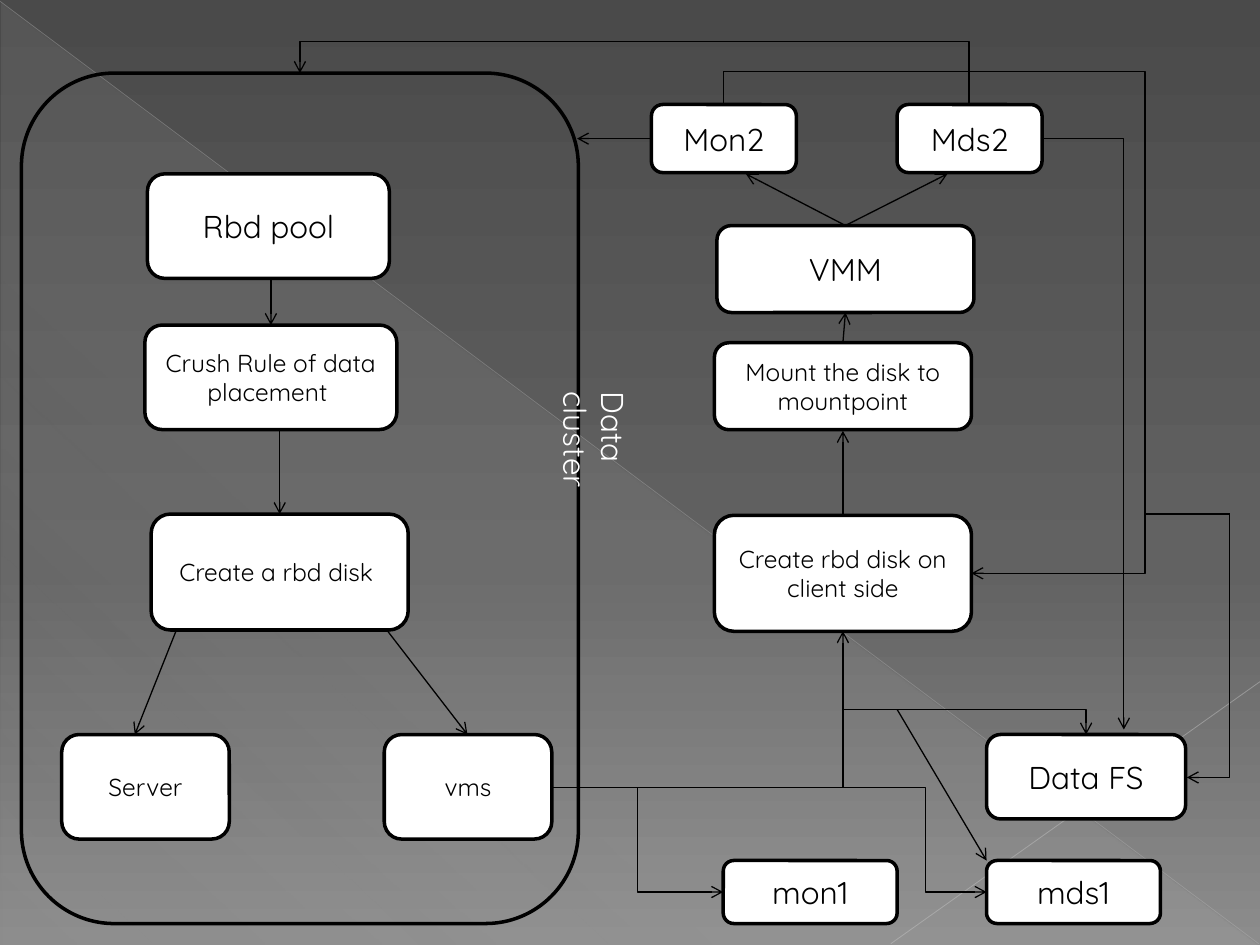
from lxml import etree
from pptx import Presentation
from pptx.dml import color
from pptx.enum import shapes, text
from pptx.oxml import ns
from pptx.util import Inches, Pt

FONT = "Quicksand"
BLACK = "000000"
WHITE = "FFFFFF"


def rgb(value):
    return color.RGBColor.from_string(value)


def inches(*values):
    return [Inches(value) for value in values]


def shift(box, point):
    return box[0] + point[0], box[1] + point[1]


def add_child(parent, tag, **attributes):
    return etree.SubElement(parent, ns.qn(tag), attributes)


def set_gradient(owner, fill, stops, angle):
    fill.gradient()
    gradient = owner.element.find(".//" + ns.qn("a:gradFill"))
    for child in list(gradient):
        gradient.remove(child)
    stop_list = add_child(gradient, "a:gsLst")
    for position, value, opacity in stops:
        stop = add_child(stop_list, "a:gs", pos=str(position * 1000))
        tint = add_child(stop, "a:srgbClr", val=value)
        if opacity < 100:
            add_child(tint, "a:alpha", val=str(opacity * 1000))
    add_child(gradient, "a:lin", ang=str(angle * 60000), scaled="0")


def write(shape, wording, size, value):
    frame = shape.text_frame
    frame.word_wrap = True
    frame.text = wording
    span = frame.paragraphs[0].runs[0]
    span.font.name = FONT
    span.font.size = Pt(size)
    span.font.color.rgb = rgb(value)
    return frame


def add_frame(page, box):
    shape = page.shapes.add_shape(shapes.MSO_SHAPE.ROUNDED_RECTANGLE, *inches(*box))
    shape.shadow.inherit = False
    shape.fill.background()
    shape.line.color.rgb = rgb(BLACK)
    shape.line.width = Pt(2)
    return shape


def add_node(page, box, point, size, wording, points=18):
    shape = add_frame(page, (*shift(box, point), *size))
    shape.fill.solid()
    shape.fill.fore_color.rgb = rgb(WHITE)
    frame = write(shape, wording, points, BLACK)
    frame.vertical_anchor = text.MSO_ANCHOR.MIDDLE
    frame.paragraphs[0].alignment = text.PP_ALIGN.CENTER


def add_line(page, start, end, kind=shapes.MSO_CONNECTOR.STRAIGHT,
             value=BLACK, width=0.75, arrow=True, opacity=100):
    line = page.shapes.add_connector(kind, *inches(*start, *end))
    line.line.color.rgb = rgb(value)
    line.line.width = Pt(width)
    outline = line.line._get_or_add_ln()
    if opacity < 100:
        tint = outline.find(".//" + ns.qn("a:srgbClr"))
        add_child(tint, "a:alpha", val=str(opacity * 1000))
    if arrow:
        add_child(outline, "a:tailEnd", type="arrow")
    add_child(line.element.spPr, "a:effectLst")
    return line


def add_elbow(page, start, end, bends=2, turn=0, adjust=()):
    center = [(a + b) / 2 for a, b in zip(start, end)]
    x, y = start[0] - center[0], start[1] - center[1]
    x, y = {0: (x, y), 90: (y, -x), 270: (-y, x)}[turn]
    line = add_line(page, (center[0] + x, center[1] + y),
                    (center[0] - x, center[1] - y), shapes.MSO_CONNECTOR.ELBOW)
    properties = line.element.spPr
    if turn:
        properties.find(ns.qn("a:xfrm")).set("rot", str(turn * 60000))
    geometry = properties.find(ns.qn("a:prstGeom"))
    geometry.set("prst", f"bentConnector{bends}")
    guides = geometry.find(ns.qn("a:avLst"))
    if guides is None:
        guides = add_child(geometry, "a:avLst")
    for number, part in enumerate(adjust, 1):
        add_child(guides, "a:gd", name=f"adj{number}", fmla=f"val {round(part * 100000)}")


def add_backdrop(page, box):
    left, top, width, height = box
    set_gradient(page, page.background.fill,
                 [(0, "4A4A4A", 100), (60, "626262", 100), (100, "8C8C8C", 100)], 90)
    corner = page.shapes.add_shape(
        shapes.MSO_SHAPE.RIGHT_TRIANGLE,
        *inches(left + 0.01, top + 0.02, width - 0.02, height - 0.02))
    corner.shadow.inherit = False
    corner.line.fill.background()
    set_gradient(corner, corner.fill,
                 [(0, "D2D2D2", 10), (70, "D2D2D2", 8), (100, "D2D2D2", 1)], 133)
    right, bottom = left + width, top + height - 0.01
    add_line(page, (left, top + 0.01), (right - 0.01, bottom),
             value="BFBFBF", width=0.39, arrow=False, opacity=35)
    add_line(page, (right, top + 5.41), (left + 7.07, bottom),
             value="C6C6C6", width=0.47, arrow=False, opacity=45)


def add_cluster(page, box):
    add_node(page, box, (1, 0.8), (1.92, 0.83), "Rbd pool")
    add_node(page, box, (0.98, 2), (2, 0.83), "Crush Rule of data placement ", 14)
    add_node(page, box, (1.03, 3.5), (2.04, 0.92), "Create a rbd disk ", 14)
    for x, wording in ((0.32, "Server"), (2.88, "vms")):
        add_node(page, box, (x, 5.25), (1.33, 0.83), wording, 14)
    for start, end in (((1.98, 1.63), (1.98, 2)), ((2.05, 2.84), (2.05, 3.5)),
                       ((1.23, 4.42), (0.9, 5.25)), ((2.9, 4.42), (3.54, 5.25))):
        add_line(page, shift(box, start), shift(box, end))
    add_frame(page, box)
    label = page.shapes.add_textbox(*inches(*shift(box, (3.96, 2.97)), 1.48, 0.4))
    label.rotation = 90
    write(label, "Data cluster", 18, WHITE)


def add_client(page, box):
    for x, wording in ((0, "Mon2"), (1.95, "Mds2")):
        add_node(page, box, (x, 0), (1.15, 0.54), wording)
    add_node(page, box, (0.52, 0.96), (2.04, 0.69), "VMM")
    add_node(page, box, (0.5, 1.89), (2.04, 0.69), "Mount the disk to mountpoint", 14)
    add_node(page, box, (0.5, 3.26), (2.04, 0.92), "Create rbd disk on client side", 14)
    for start, end in (((1.52, 3.26), (1.52, 2.59)), ((1.52, 1.89), (1.54, 1.65)),
                       ((1.54, 0.96), (2.35, 0.55)), ((1.54, 0.96), (0.75, 0.55))):
        add_line(page, shift(box, start), shift(box, end))


def add_services(page, box):
    add_node(page, box, (2.09, 0), (1.58, 0.67), "Data FS")
    for x, wording in ((0, "mon1"), (2.09, "mds1")):
        add_node(page, box, (x, 1), (1.38, 0.5), wording)


def add_routes(page, box):
    vms = (4.38, 6.25)
    for start, end, bends, turn, adjust in (
            (vms, (6.69, 5.01), 2, 0, ()),
            ((7.69, 0.83), (2.38, 0.58), 3, 270, (2,)),
            ((5.74, 0.83), (7.71, 4.55), 4, 270, (-0.07, 1.7)),
            (vms, (5.74, 7.08), 3, 0, (0.5,)),
            (vms, (7.83, 7.08), 3, 0, (0.86,)),
            ((6.69, 5.63), (8.62, 5.83), 2, 0, ()),
            ((8.26, 1.1), (8.92, 5.79), 2, 0, ()),
            ((9.76, 4.09), (9.42, 6.17), 2, 90, ())):
        add_elbow(page, shift(box, start), shift(box, end), bends, turn, adjust)
    for start, end, arrow in (((5.17, 1.1), (4.58, 1.1), True),
                              ((7.12, 5.63), (7.83, 6.83), True),
                              ((9.76, 4.08), (9.08, 4.08), False)):
        add_line(page, shift(box, start), shift(box, end), arrow=arrow)


def main():
    deck = Presentation()
    deck.slide_width, deck.slide_height = inches(10, 7.5)
    page = deck.slides.add_slide(deck.slide_layouts[6])
    whole = (0, 0, 10, 7.5)
    add_backdrop(page, whole)
    add_cluster(page, (0.17, 0.58, 4.42, 6.75))
    add_client(page, (5.17, 0.83, 3.1, 4.18))
    add_services(page, (5.74, 5.83, 3.67, 1.5))
    add_routes(page, whole)
    deck.save("out.pptx")


if __name__ == "__main__":
    main()
